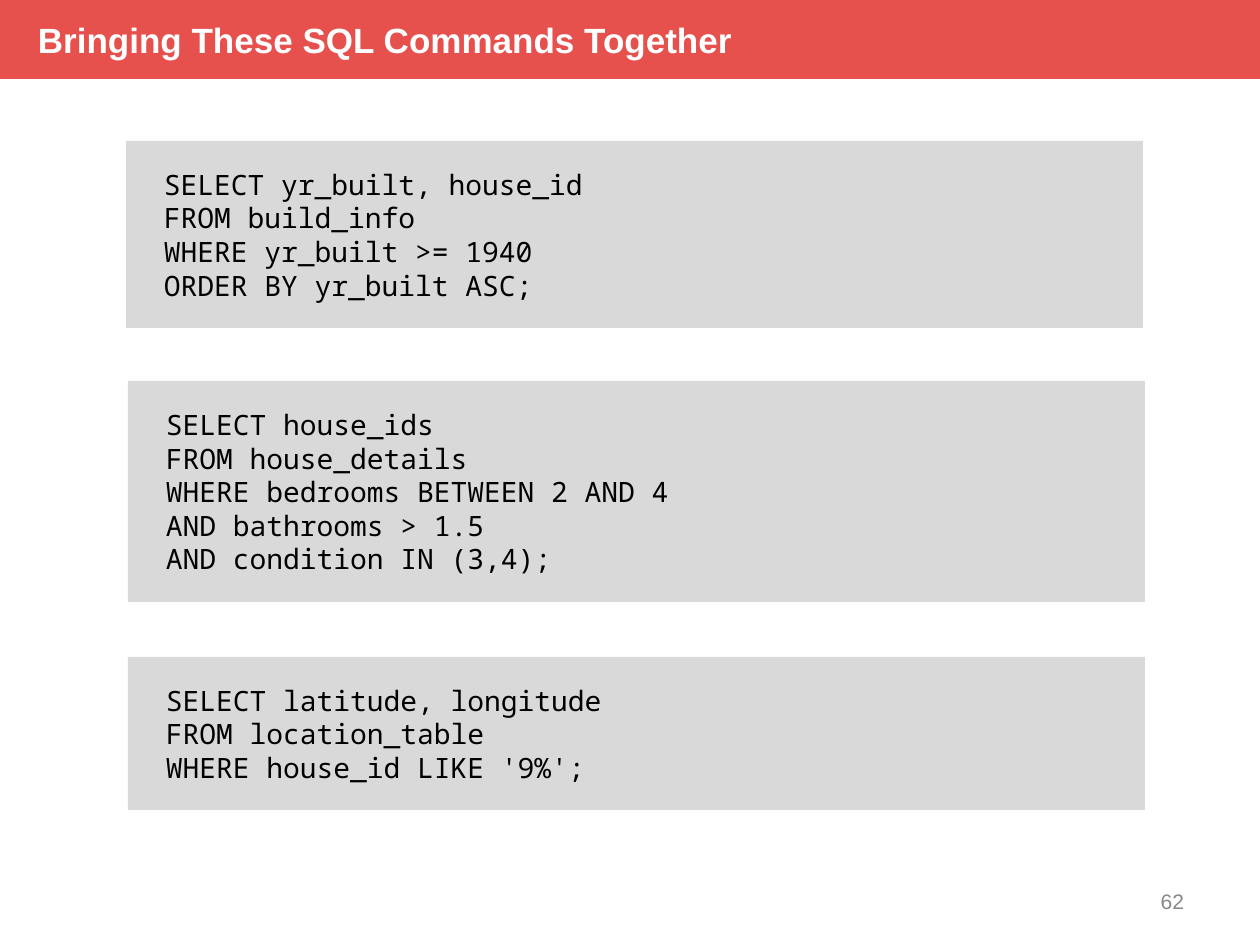
"""Build a slide that shows three SQL queries in grey code panels."""
from dataclasses import dataclass

from pptx import Presentation
from pptx import util as u
from pptx.dml.color import RGBColor
from pptx.enum import shapes, text
from pptx.slide import Slide

EMU_PER_PX = 914400 / 126


@dataclass(frozen=True)
class Theme:
    banner: RGBColor = RGBColor(0xE6, 0x50, 0x4D)
    panel: RGBColor = RGBColor(0xD9, 0xD9, 0xD9)
    title: RGBColor = RGBColor(0xFF, 0xFF, 0xFF)
    code: RGBColor = RGBColor(0x00, 0x00, 0x00)
    number: RGBColor = RGBColor(0x88, 0x88, 0x88)
    sans: str = "Arial"
    mono: str = "Noto Sans Mono"
    title_size: float = 20
    code_size: float = 16
    code_pitch: float = 19.2
    number_size: float = 12


@dataclass(frozen=True)
class Box:
    left: int
    top: int
    width: int
    height: int


@dataclass(frozen=True)
class Margins:
    left: int
    top: int
    right: int
    bottom: int


@dataclass(frozen=True)
class TextStyle:
    font: str
    size: float
    color: RGBColor
    bold: bool = False
    align: text.PP_ALIGN = text.PP_ALIGN.LEFT
    pitch: float | None = None


@dataclass(frozen=True)
class Query:
    box: Box
    code: str


THEME = Theme()
TITLE_STYLE = TextStyle(THEME.sans, THEME.title_size, THEME.title, bold=True)
CODE_STYLE = TextStyle(THEME.mono, THEME.code_size, THEME.code, pitch=THEME.code_pitch)
NUMBER_STYLE = TextStyle(THEME.sans, THEME.number_size, THEME.number, align=text.PP_ALIGN.RIGHT)
TITLE_MARGINS = Margins(38, 6, 13, 6)
NUMBER_MARGINS = Margins(13, 6, 13, 6)
CODE_MARGINS = Margins(38, 25, 38, 25)

QUERIES = (
    Query(Box(126, 141, 1017, 187), """SELECT yr_built, house_id
FROM build_info
WHERE yr_built >= 1940
ORDER BY yr_built ASC;"""),
    Query(Box(128, 381, 1017, 221), """SELECT house_ids
FROM house_details
WHERE bedrooms BETWEEN 2 AND 4
AND bathrooms > 1.5
AND condition IN (3,4);"""),
    Query(Box(128, 657, 1017, 153), """SELECT latitude, longitude
FROM location_table
WHERE house_id LIKE '9%';"""),
)


def px(length: int) -> u.Emu:
    return u.Emu(round(length * EMU_PER_PX))


def place(box: Box) -> tuple[u.Emu, ...]:
    return px(box.left), px(box.top), px(box.width), px(box.height)


def write(shape, wording: str, style: TextStyle, margins: Margins) -> None:
    frame = shape.text_frame
    frame.text = wording
    frame.word_wrap = True
    frame.vertical_anchor = text.MSO_ANCHOR.MIDDLE
    frame.margin_left, frame.margin_top = px(margins.left), px(margins.top)
    frame.margin_right, frame.margin_bottom = px(margins.right), px(margins.bottom)
    for paragraph in frame.paragraphs:
        paragraph.alignment = style.align
        if style.pitch:
            paragraph.line_spacing = u.Pt(style.pitch)
        for run in paragraph.runs:
            run.font.name = style.font
            run.font.size = u.Pt(style.size)
            run.font.bold = style.bold
            run.font.color.rgb = style.color


def add_panel(slide: Slide, box: Box, fill: RGBColor):
    shape = slide.shapes.add_shape(shapes.MSO_SHAPE.RECTANGLE, *place(box))
    shape.shadow.inherit = False
    shape.fill.solid()
    shape.fill.fore_color.rgb = fill
    shape.line.fill.background()
    return shape


def add_query(slide: Slide, query: Query) -> None:
    panel = add_panel(slide, query.box, THEME.panel)
    write(panel, query.code, CODE_STYLE, CODE_MARGINS)
    panel.text_frame.auto_size = text.MSO_AUTO_SIZE.SHAPE_TO_FIT_TEXT


def main() -> None:
    presentation = Presentation()
    presentation.slide_width, presentation.slide_height = px(1260), px(945)
    slide = presentation.slides.add_slide(presentation.slide_layouts[6])

    banner = add_panel(slide, Box(0, 0, 1260, 79), THEME.banner)
    write(banner, "Bringing These SQL Commands Together", TITLE_STYLE, TITLE_MARGINS)
    number = slide.shapes.add_textbox(*place(Box(903, 876, 294, 50)))
    write(number, "62", NUMBER_STYLE, NUMBER_MARGINS)
    for query in QUERIES:
        add_query(slide, query)

    presentation.save("out.pptx")


if __name__ == "__main__":
    main()
